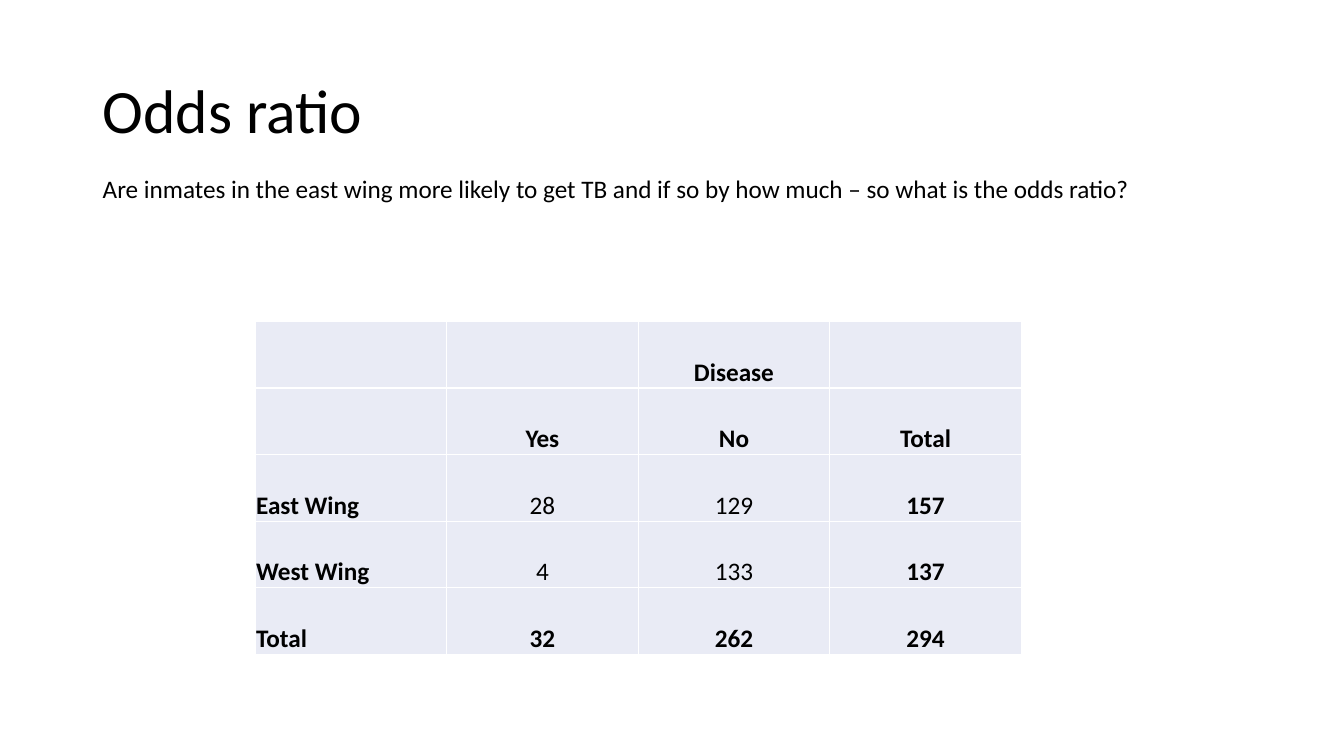
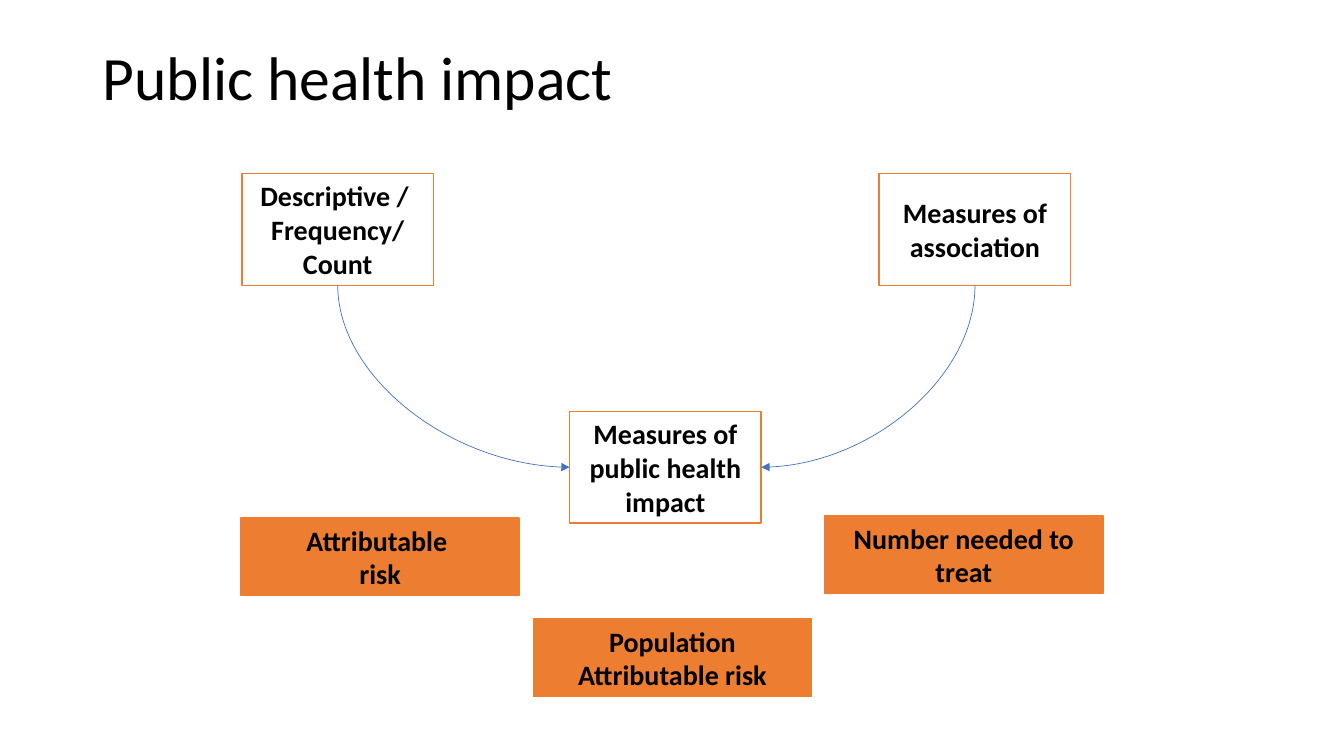
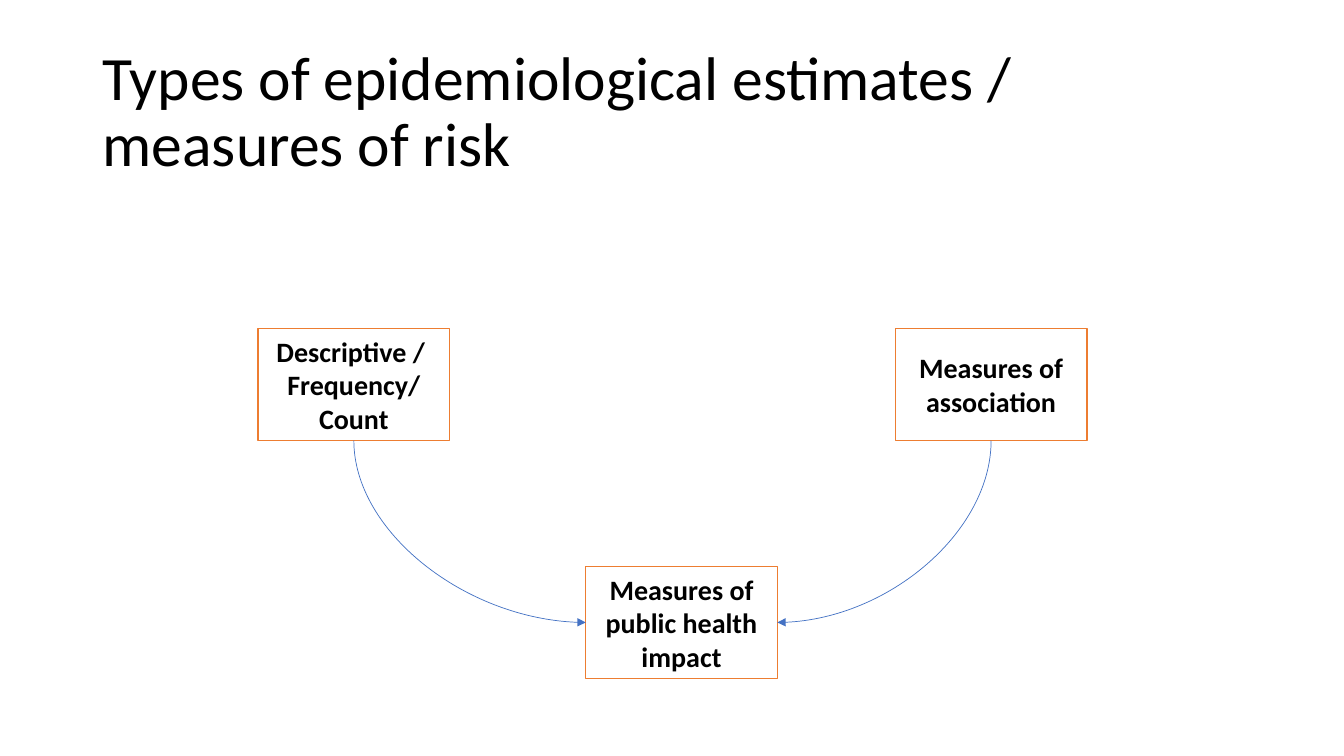
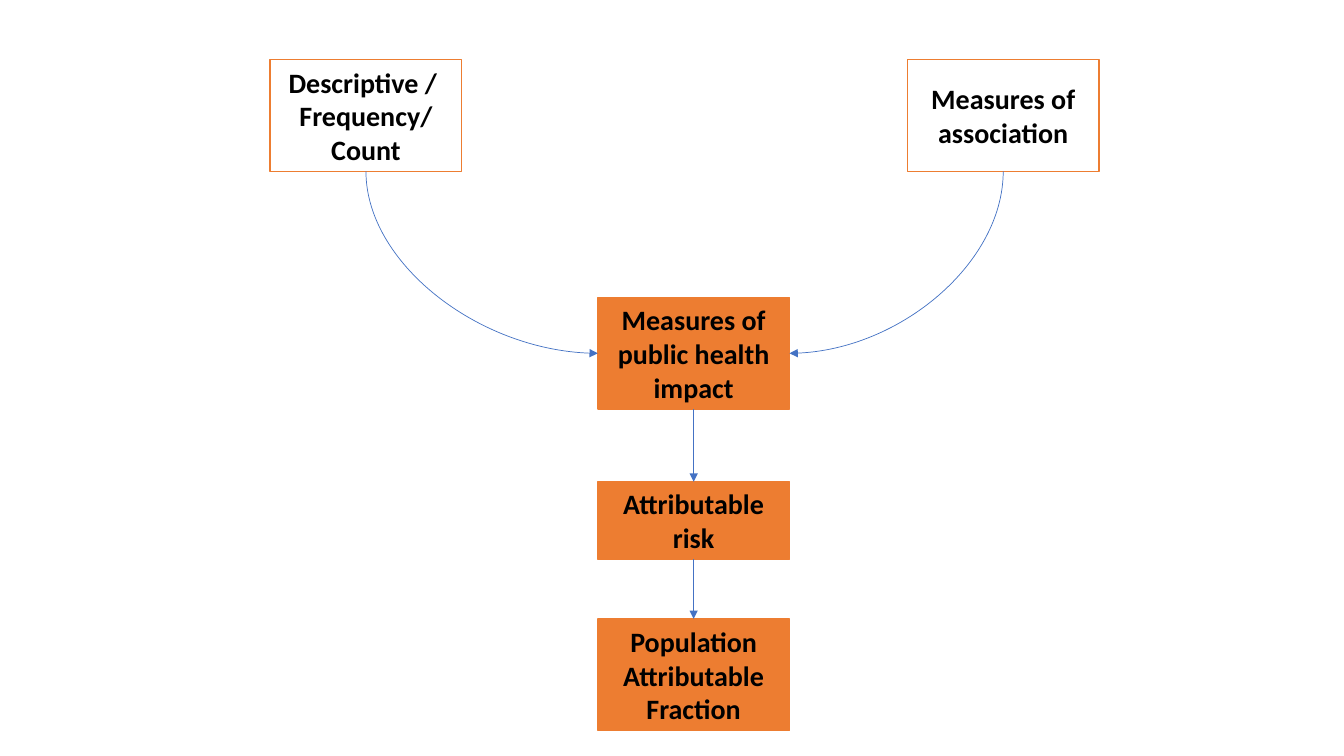
from pptx import Presentation
from pptx.dml.color import RGBColor
from pptx.enum.shapes import MSO_CONNECTOR as CONN, MSO_SHAPE as SHAPE
from pptx.enum.text import MSO_ANCHOR as ANCHOR, PP_ALIGN as ALIGN
from pptx.oxml import parse_xml
from pptx.oxml.ns import nsdecls, qn
from pptx.util import Inches, Pt

FONT = "Calibri"
BLACK, WHITE, ORANGE, BLUE, PALE = "000000", "FFFFFF", "ED7D31", "4472C4", "E9EBF5"
BOX_W, TALL, SHORT, WIDE = 1.9, 1.11, 0.77, 2.76


def rgb(color):
    return RGBColor.from_string(color)


def style(p, size, bold=False, align=ALIGN.LEFT):
    p.alignment = align
    p.font.name = FONT
    p.font.size = Pt(size)
    p.font.bold = bold
    p.font.color.rgb = rgb(BLACK)


def new_slide(prs):
    return prs.slides.add_slide(prs.slide_layouts[6])


def add_text(s, text, x, y, w, h, size, anchor=ANCHOR.TOP):
    tf = s.shapes.add_textbox(Inches(x), Inches(y), Inches(w), Inches(h)).text_frame
    tf.word_wrap = True
    tf.vertical_anchor = anchor
    p = tf.paragraphs[0]
    p.text = text
    style(p, size)
    return p


def add_title(s, text, y=0.4):
    add_text(s, text, 0.92, y, 11.5, 1.45, 44, ANCHOR.MIDDLE).line_spacing = 0.9


def add_box(s, text, x, y, w=BOX_W, h=TALL, fill=None):
    sp = s.shapes.add_shape(SHAPE.RECTANGLE, Inches(x), Inches(y), Inches(w), Inches(h))
    sp.shadow.inherit = False
    if fill:
        sp.fill.solid()
        sp.fill.fore_color.rgb = rgb(fill)
    else:
        sp.fill.background()
    sp.line.color.rgb = rgb(ORANGE)
    sp.line.width = Pt(1)
    tf = sp.text_frame
    tf.word_wrap = True
    tf.vertical_anchor = ANCHOR.MIDDLE
    tf.text = text
    for p in tf.paragraphs:
        style(p, 20, True, ALIGN.CENTER)
    return sp


def add_arrow(s, kind, x1, y1, x2, y2):
    c = s.shapes.add_connector(kind, int(x1), int(y1), int(x2), int(y2))
    c.line.color.rgb = rgb(BLUE)
    c.line.width = Pt(0.5)
    c.line._get_or_add_ln().append(parse_xml(f'<a:tailEnd type="triangle" {nsdecls("a")}/>'))
    c._element.spPr.append(parse_xml(f'<a:effectLst {nsdecls("a")}/>'))
    return c


def add_down_arrow(s, upper, lower):
    x = upper.left + upper.width / 2
    c = add_arrow(s, CONN.STRAIGHT, x, upper.top + upper.height, x, lower.top)
    c.begin_connect(upper, 2)
    c.end_connect(lower, 0)


def add_curve(s, source, target):
    rightward = source.left < target.left
    x1, y1 = source.left + source.width / 2, source.top + source.height
    x2 = target.left if rightward else target.left + target.width
    y2 = target.top + target.height / 2
    cx, cy = (x1 + x2) / 2, (y1 + y2) / 2
    half_w, half_h = (y2 - y1) / 2, abs(x2 - x1) / 2
    c = add_arrow(s, CONN.CURVE, cx - half_w, cy - half_h, cx + half_w, cy + half_h)
    spPr = c._element.spPr
    spPr.find(qn("a:prstGeom")).set("prst", "curvedConnector2")
    xfrm = spPr.find(qn("a:xfrm"))
    xfrm.set("rot", str((270 if rightward else 90) * 60000))
    if rightward:
        xfrm.set("flipH", "1")


def add_measures(s, x, y, fill=WHITE, impact_fill=WHITE):
    descriptive = add_box(s, "Descriptive / \nFrequency/\nCount", x, y, fill=fill)
    association = add_box(s, "Measures of association", x + 6.32, y, fill=fill)
    impact = add_box(s, "Measures of public health impact", x + 3.25, y + 2.36, fill=impact_fill)
    add_curve(s, descriptive, impact)
    add_curve(s, association, impact)
    return impact


def set_borders(cell, color):
    tcPr = cell._tc.get_or_add_tcPr()
    for i, side in enumerate(("lnL", "lnR", "lnT", "lnB")):
        tcPr.insert(i, parse_xml(
            f'<a:{side} w="12700" {nsdecls("a")}><a:solidFill><a:srgbClr val="{color}"/>'
            f'</a:solidFill></a:{side}>'))


def add_grid(s, rows, x, y, col_w, row_h):
    n_rows, n_cols = len(rows), len(rows[0])
    table = s.shapes.add_table(n_rows, n_cols, Inches(x), Inches(y),
                               Inches(col_w * n_cols), Inches(row_h * n_rows)).table
    for i, row in enumerate(rows):
        for j, text in enumerate(row):
            cell = table.cell(i, j)
            cell.fill.solid()
            cell.fill.fore_color.rgb = rgb(PALE)
            set_borders(cell, WHITE)
            cell.margin_left = cell.margin_right = cell.margin_top = Inches(0.01)
            cell.margin_bottom = 0
            cell.vertical_anchor = ANCHOR.BOTTOM
            p = cell.text_frame.paragraphs[0]
            p.text = text
            is_count = i in (2, 3) and j in (1, 2)
            style(p, 18, not is_count, ALIGN.CENTER if j else ALIGN.LEFT)


def odds_ratio(prs):
    s = new_slide(prs)
    add_title(s, "Odds ratio")
    add_text(s, "Are inmates in the east wing more likely to get TB and if so by how much – "
                "so what is the odds ratio?", 0.92, 1.67, 11.98, 0.4, 18)
    add_grid(s, [
        ("", "", "Disease", ""),
        ("", "Yes", "No", "Total"),
        ("East Wing", "28", "129", "157"),
        ("West Wing", "4", "133", "137"),
        ("Total", "32", "262", "294"),
    ], 2.53, 3.19, 1.9, 0.66)


def health_impact(prs):
    s = new_slide(prs)
    add_title(s, "Public health impact", 0.07)
    add_measures(s, 2.4, 1.72)
    for text, x, y in (("Attributable \nrisk", 2.39, 5.14),
                       ("Population Attributable risk", 5.29, 6.14),
                       ("Number needed to treat", 8.18, 5.12)):
        add_box(s, text, x, y, WIDE, SHORT, ORANGE)


def estimate_types(prs):
    s = new_slide(prs)
    add_title(s, "Types of epidemiological estimates / measures of risk")
    add_measures(s, 2.56, 3.26)


def impact_chain(prs):
    s = new_slide(prs)
    impact = add_measures(s, 2.68, 0.59, None, ORANGE)
    risk = add_box(s, "Attributable risk", 5.93, 4.78, h=SHORT, fill=ORANGE)
    fraction = add_box(s, "Population Attributable Fraction", 5.93, 6.14, fill=ORANGE)
    add_down_arrow(s, impact, risk)
    add_down_arrow(s, risk, fraction)


def main():
    prs = Presentation()
    prs.slide_width, prs.slide_height = Inches(13.33), Inches(7.5)
    for build in (odds_ratio, health_impact, estimate_types, impact_chain):
        build(prs)
    prs.save("out.pptx")


if __name__ == "__main__":
    main()
